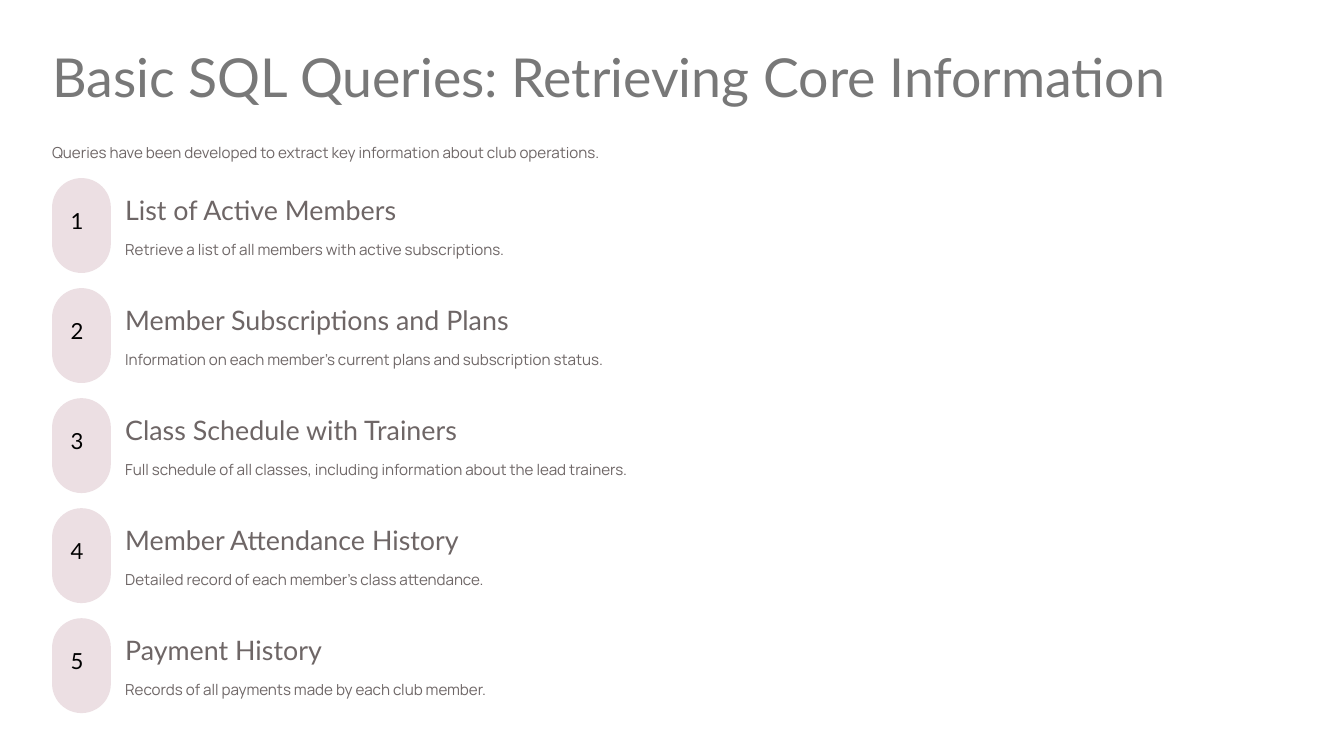
from pptx import Presentation
from pptx.dml.color import RGBColor
from pptx.enum.shapes import MSO_SHAPE
from pptx.util import Inches, Pt

GREY = "6E6666"
LEFT = 0.62
INDENT = 1.49

deck = Presentation()
deck.slide_width, deck.slide_height = Inches(16), Inches(9)
slide = deck.slides.add_slide(deck.slide_layouts[6])


def color(target, code):
    target.rgb = RGBColor.from_string(code)


def write(text, x, y, w, h, size=13, font="Manrope", ink=GREY, line=20):
    box = slide.shapes.add_textbox(Inches(x), Inches(y), Inches(w), Inches(h))
    frame = box.text_frame
    frame.word_wrap = True
    frame.margin_left = frame.margin_right = 0
    frame.margin_top = frame.margin_bottom = 0
    para = frame.paragraphs[0]
    para.line_spacing = Pt(line)
    run = para.add_run()
    run.text = text
    run.font.size = Pt(size)
    run.font.name = font
    color(run.font.color, ink)


# Title and intro
write("Basic SQL Queries: Retrieving Core Information", LEFT, 0.5, 13.51, 0.79,
      size=46, font="Lato", ink="787878", line=56.5)
write("Queries have been developed to extract key information about club operations.",
      LEFT, 1.65, 14.77, 0.28)

# Numbered queries
items = [
    ("List of Active Members",
     "Retrieve a list of all members with active subscriptions."),
    ("Member Subscriptions and Plans",
     "Information on each member's current plans and subscription status."),
    ("Class Schedule with Trainers",
     "Full schedule of all classes, including information about the lead trainers."),
    ("Member Attendance History",
     "Detailed record of each member's class attendance."),
    ("Payment History",
     "Records of all payments made by each club member."),
]
for index, (head, detail) in enumerate(items):
    top = 2.12 + 1.31 * index
    pill = slide.shapes.add_shape(MSO_SHAPE.ROUNDED_RECTANGLE, Inches(LEFT),
                                  Inches(top), Inches(0.7), Inches(1.13))
    pill.adjustments[0] = 0.5
    pill.shadow.inherit = False
    pill.fill.solid()
    color(pill.fill.fore_color, "ECDFE3")
    pill.line.fill.background()
    write(str(index + 1), 0.84, top + 0.41, 0.26, 0.33,
          size=19, font="Lato", ink="000000", line=18.5)
    write(head, INDENT, top + 0.18, 5, 0.39, size=23, font="Lato", line=28)
    write(detail, INDENT, top + 0.68, 13.89, 0.28)

deck.save("out.pptx")
